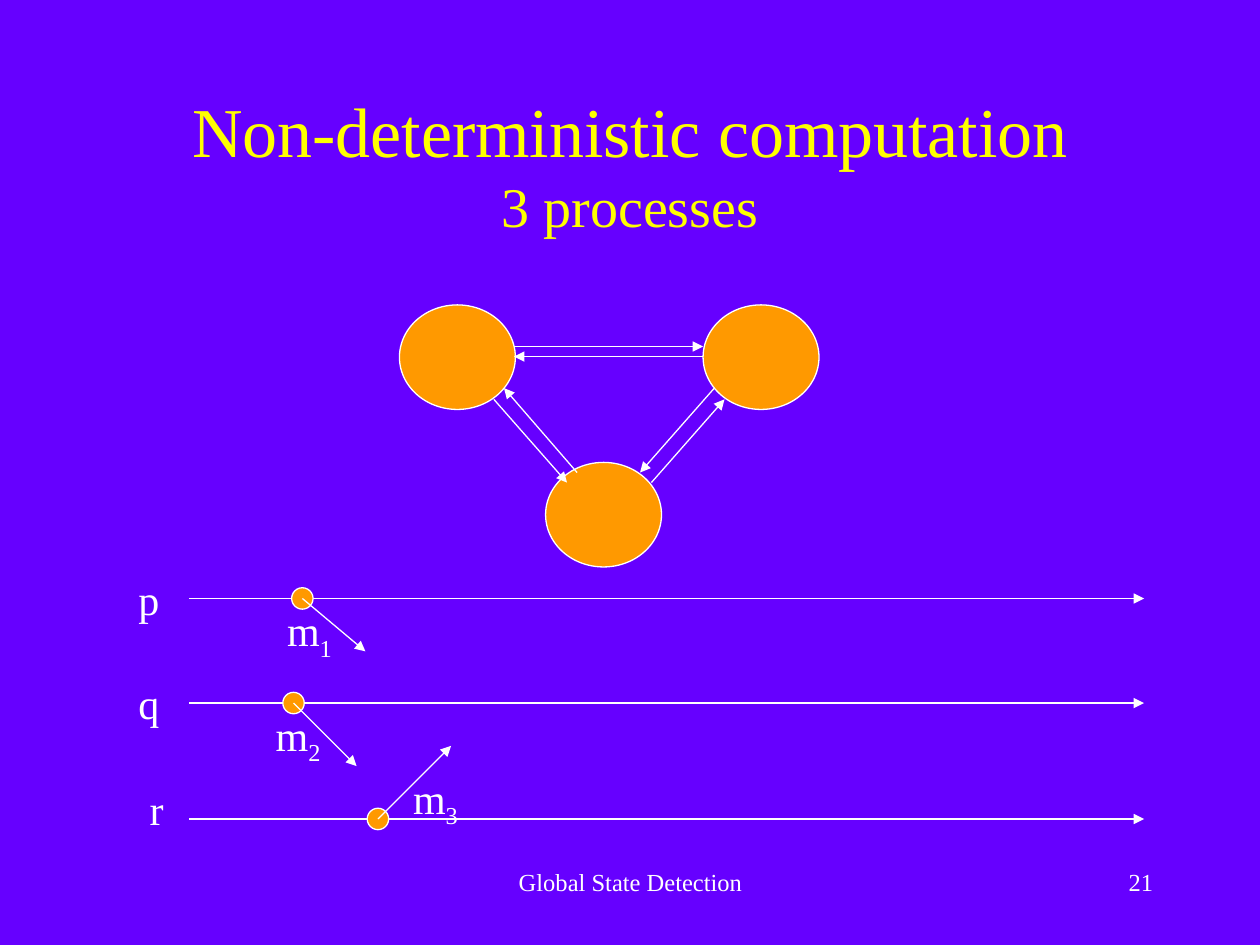
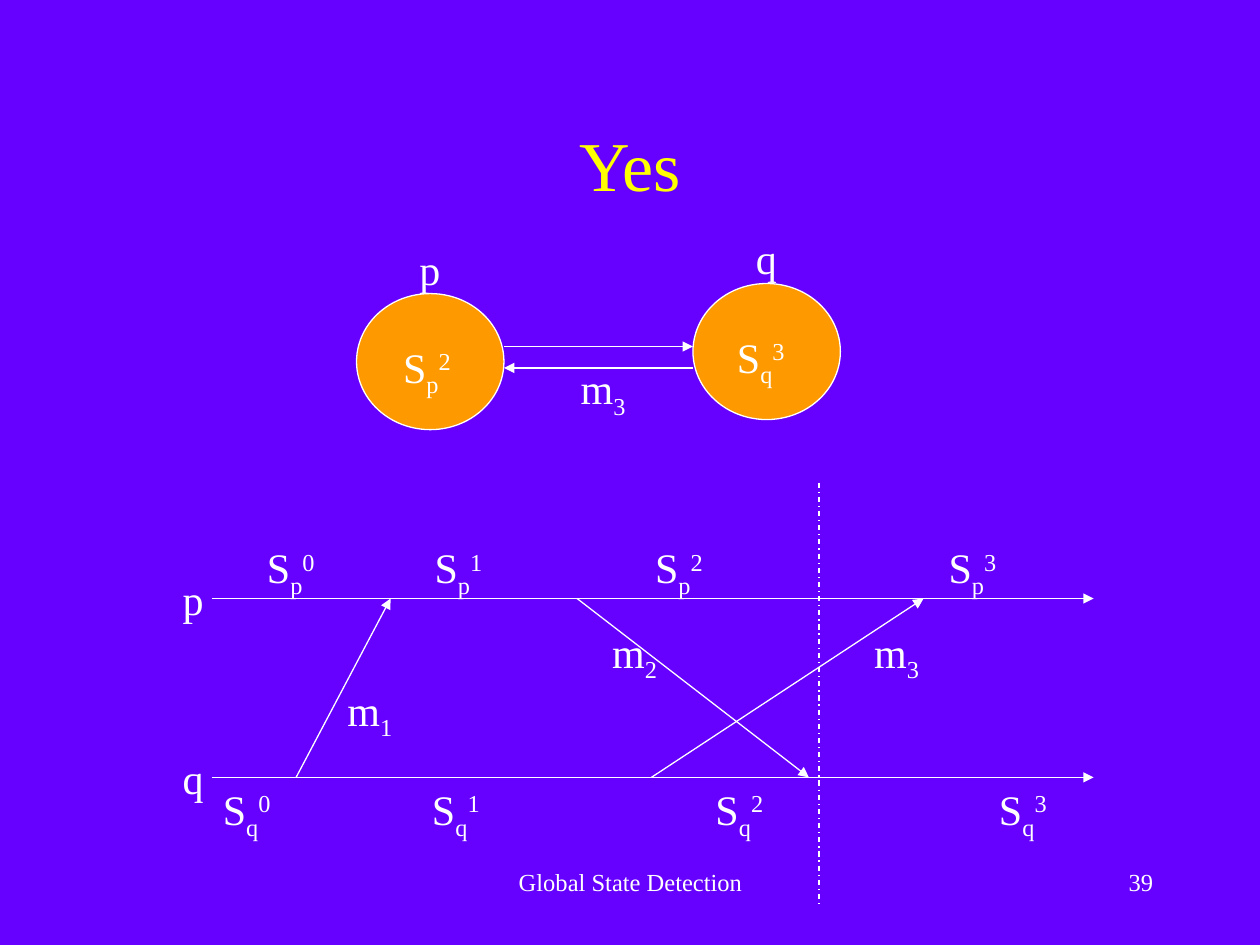
from lxml import etree
from pptx import Presentation
from pptx import util as u
from pptx.dml.color import RGBColor
from pptx.enum import dml, shapes, text
from pptx.oxml import ns

BACKGROUND = RGBColor(0x66, 0x00, 0xFF)
TITLE_COLOR = RGBColor(0xFF, 0xFF, 0x00)
PROCESS_FILL = RGBColor(0xFF, 0x99, 0x00)
WHITE = RGBColor(0xFF, 0xFF, 0xFF)
FONT = "Times New Roman"
FOOTER = "Global State Detection"
LINE_WIDTH = u.Pt(0.75)
SUBSCRIPT, SUPERSCRIPT = "-25000", "30000"
# Wide enough to keep each symbol and its indices on one line
LABEL_WIDTHS = {"p": 0.38, "q": 0.38, "r": 0.33, "m": 0.6, "S": 0.61}
TITLE_ONLY = 5


# Text
def add_span(para, wording, size, color=WHITE, baseline=None):
    span = para.add_run()
    span.text = wording
    span.font.size = u.Pt(size)
    span.font.name = FONT
    span.font.color.rgb = color
    if baseline:
        span._r.get_or_add_rPr().set("baseline", baseline)


def add_text_box(slide, left, top, width, height):
    box = slide.shapes.add_textbox(*map(u.Inches, (left, top, width, height)))
    return box.text_frame


def add_label(slide, left, top, symbol, sub="", sup=""):
    """Write a symbol with an optional subscript and superscript."""
    height = 0.56 if sub else 0.5
    frame = add_text_box(slide, left, top, LABEL_WIDTHS[symbol], height)
    frame.word_wrap = False
    frame.auto_size = text.MSO_AUTO_SIZE.NONE
    para = frame.paragraphs[0]
    para.alignment = text.PP_ALIGN.LEFT
    add_span(para, symbol, 24)
    for wording, baseline in ((sub, SUBSCRIPT), (sup, SUPERSCRIPT)):
        if wording:
            add_span(para, wording, 24, baseline=baseline)


def add_footer_text(slide, left, width, wording, alignment):
    frame = add_text_box(slide, left, 6.83, width, 0.5)
    frame.word_wrap = True
    para = frame.paragraphs[0]
    para.alignment = alignment
    add_span(para, wording, 14)


# Shapes and lines
def add_round(slide, kind, left, top, width, height):
    shape = slide.shapes.add_shape(kind, *map(u.Inches, (left, top, width, height)))
    shape.shadow.inherit = False
    shape.fill.solid()
    shape.fill.fore_color.rgb = PROCESS_FILL
    shape.line.color.rgb = WHITE
    shape.line.width = LINE_WIDTH


def add_process(slide, left, top, width, height):
    add_round(slide, shapes.MSO_SHAPE.OVAL, left, top, width, height)


def add_event(slide, center_x, center_y):
    size = 0.17
    add_round(slide, shapes.MSO_SHAPE.FLOWCHART_CONNECTOR,
              center_x - size / 2, center_y - size / 2, size, size)


def add_line(slide, start, end):
    line = slide.shapes.add_connector(
        shapes.MSO_CONNECTOR.STRAIGHT, *map(u.Inches, (*start, *end)))
    line.line.color.rgb = WHITE
    line.line.width = LINE_WIDTH
    etree.SubElement(line._element.spPr, ns.qn("a:effectLst"))
    return line


def add_arrow(slide, start, end):
    outline = add_line(slide, start, end).line._get_or_add_ln()
    etree.SubElement(outline, ns.qn("a:tailEnd"), type="triangle")


def add_timeline(slide, name, left, right, y, name_left, name_top):
    add_arrow(slide, (left, y), (right, y))
    add_label(slide, name_left, name_top, name)


# Shared slide frame
def add_slide(deck, title, number, subtitle=None):
    slide = deck.slides.add_slide(deck.slide_layouts[TITLE_ONLY])
    slide.background.fill.solid()
    slide.background.fill.fore_color.rgb = BACKGROUND

    box = slide.shapes.title
    box.left, box.top, box.width, box.height = map(u.Inches, (0.75, 0.67, 8.5, 1.25))
    frame = box.text_frame
    frame.word_wrap = True
    frame.auto_size = text.MSO_AUTO_SIZE.NONE
    frame.vertical_anchor = text.MSO_ANCHOR.MIDDLE
    para = frame.paragraphs[0]
    para.alignment = text.PP_ALIGN.CENTER
    add_span(para, title, 40, TITLE_COLOR)
    if subtitle:
        para.add_line_break()
        add_span(para, subtitle, 32, TITLE_COLOR)

    add_footer_text(slide, 3.42, 3.17, FOOTER, text.PP_ALIGN.CENTER)
    add_footer_text(slide, 7.17, 2.08, str(number), text.PP_ALIGN.RIGHT)
    return slide


def build_three_processes(deck):
    slide = add_slide(deck, "Non-deterministic computation", 21, "3 processes")

    # Processes and their channels
    for left, top in ((3.17, 2.42), (5.58, 2.42), (4.33, 3.67)):
        add_process(slide, left, top, 0.92, 0.83)
    channels = (
        ((4.58, 3.75), (4, 3.08)), ((3.92, 3.17), (4.5, 3.83)),
        ((5.67, 3.08), (5.08, 3.75)), ((5.17, 3.83), (5.75, 3.17)),
        ((4.08, 2.75), (5.58, 2.75)), ((5.58, 2.83), (4.08, 2.83)),
    )
    for start, end in channels:
        add_arrow(slide, start, end)

    # Timelines
    for name, y, name_left, name_top in (
            ("p", 4.75, 1, 4.5), ("q", 5.58, 1, 5.33), ("r", 6.5, 1.09, 6.17)):
        add_timeline(slide, name, 1.5, 9.08, y, name_left, name_top)

    # Send events with their messages
    messages = (
        ("1", (2.4, 4.75), (2.9, 5.17), (2.18, 4.75)),
        ("2", (2.33, 5.58), (2.83, 6.08), (2.09, 5.58)),
        ("3", (3, 6.5), (3.58, 5.92), (3.18, 6.08)),
    )
    for index, start, end, label_at in messages:
        add_event(slide, *start)
        add_arrow(slide, start, end)
        add_label(slide, *label_at, "m", index)


def build_yes(deck):
    slide = add_slide(deck, "Yes", 39)
    p_line, q_line = 4.75, 6.17

    # Processes in their current states
    for name, state, left, top, state_left in (
            ("p", "2", 2.83, 2.33, 3.1), ("q", "3", 5.5, 2.25, 5.75)):
        add_process(slide, left, top, 1.17, 1.08)
        add_label(slide, left + 0.4, top - 0.45, name)
        add_label(slide, state_left, top + 0.33, "S", name, state)
    add_arrow(slide, (4, 2.75), (5.5, 2.75))
    add_arrow(slide, (5.5, 2.92), (4, 2.92))
    add_label(slide, 4.51, 2.83, "m", "3")

    # Timelines with successive states
    for name, y, states_top, state_lefts in (
            ("p", p_line, 4.25, (2.02, 3.35, 5.1, 7.43)),
            ("q", q_line, 6.17, (1.67, 3.33, 5.58, 7.83))):
        add_timeline(slide, name, 1.68, 8.68, y, 1.35, y - 0.25)
        for state, left in enumerate(state_lefts):
            add_label(slide, left, states_top, "S", name, str(state))

    # Messages between the timelines
    messages = (
        ("1", (2.35, q_line), (3.1, p_line), (2.66, 5.38)),
        ("2", (4.58, p_line), (6.42, q_line), (4.76, 4.92)),
        ("3", (5.17, q_line), (7.33, p_line), (6.84, 4.92)),
    )
    for index, start, end, label_at in messages:
        add_arrow(slide, start, end)
        add_label(slide, *label_at, "m", index)

    # Cut
    cut = add_line(slide, (6.5, 3.83), (6.5, 7.17))
    cut.line.dash_style = dml.MSO_LINE.DASH_DOT


def main():
    deck = Presentation()
    deck.slide_width, deck.slide_height = u.Inches(10), u.Inches(7.5)
    build_three_processes(deck)
    build_yes(deck)
    deck.save("out.pptx")


if __name__ == "__main__":
    main()
